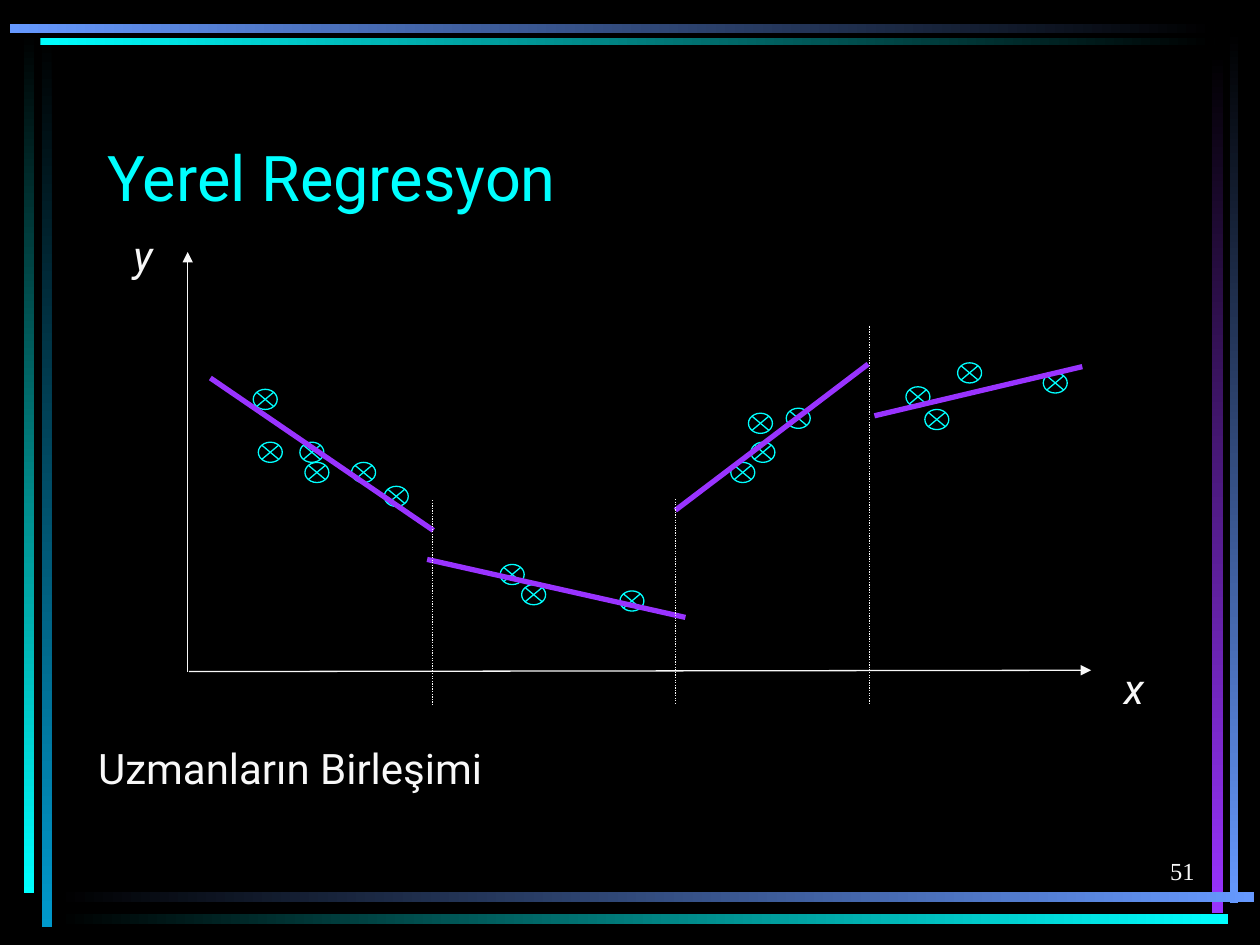
from lxml.etree import SubElement
from pptx import Presentation
from pptx.dml.color import RGBColor
from pptx.enum.dml import MSO_LINE
from pptx.enum.shapes import MSO_CONNECTOR, MSO_SHAPE
from pptx.enum.text import MSO_ANCHOR, MSO_AUTO_SIZE, PP_ALIGN
from pptx.oxml.ns import qn
from pptx.util import Inches, Pt

BLACK = RGBColor(0x00, 0x00, 0x00)
WHITE = RGBColor(0xF8, 0xF8, 0xF8)
CYAN = RGBColor(0x00, 0xFF, 0xFF)
TEAL = RGBColor(0x00, 0x99, 0xCC)
BLUE = RGBColor(0x66, 0x99, 0xFF)
PURPLE = RGBColor(0x99, 0x33, 0xFF)

DOWN, RIGHT = 270, 0
BARS = [
    (0.33, 0.28, 0.08, 7.08, BLACK, TEAL, DOWN),
    (0.19, 0.25, 0.08, 6.84, BLACK, CYAN, DOWN),
    (9.76, 0.24, 0.07, 6.93, BLACK, BLUE, DOWN),
    (9.62, 0.42, 0.09, 6.83, BLACK, PURPLE, DOWN),
    (0.45, 7.08, 9.5, 0.08, BLACK, BLUE, RIGHT),
    (0.45, 7.25, 9.3, 0.08, BLACK, CYAN, RIGHT),
    (0.32, 0.3, 9.32, 0.06, CYAN, BLACK, RIGHT),
    (0.08, 0.19, 9.56, 0.07, BLUE, BLACK, RIGHT),
]
AXES = [(1.5, 5.33, 8.66, 5.32), (1.49, 5.33, 1.49, 2)]
POINTS = [
    (2.05, 3.51), (2.42, 3.67), (2.38, 3.51), (2.79, 3.67), (3.05, 3.86),
    (5.96, 3.51), (3.97, 4.48), (4.92, 4.69), (6.24, 3.24), (7.34, 3.25),
    (5.8, 3.67), (5.94, 3.28), (4.14, 4.64), (7.6, 2.88), (8.28, 2.96),
    (7.19, 3.07), (2.01, 3.09),
]
FITS = [
    (1.67, 3, 3.44, 4.21), (3.39, 4.44, 5.44, 4.9),
    (5.36, 4.05, 6.89, 2.89), (6.94, 3.3, 8.59, 2.91),
]
SPLITS = [(3.43, 3.97, 5.59), (5.36, 3.96, 5.58), (6.9, 2.59, 5.59)]


def apply(target, values):
    for name, value in values.items():
        setattr(target, name, value)


def write(shape, text, font, frame=None, align=PP_ALIGN.LEFT):
    body = shape.text_frame
    apply(body, {"word_wrap": True, "auto_size": MSO_AUTO_SIZE.NONE} | (frame or {}))
    body.text = text
    para = body.paragraphs[0]
    para.alignment = align
    run = para.runs[0]
    values = {"name": "Roboto", "size": Pt(24)} | font
    color = values.pop("color", WHITE)
    apply(run.font, values)
    run.font.color.rgb = color


def add_text(slide, box, text, font, frame, align=PP_ALIGN.LEFT):
    shape = slide.shapes.add_textbox(*map(Inches, box))
    write(shape, text, font, frame, align)


def add_title(slide, text):
    title = slide.shapes.title
    apply(title, {"left": Inches(0.75), "top": Inches(0.67),
                  "width": Inches(8.5), "height": Inches(1.08)})
    write(title, text, {"size": Pt(36), "color": CYAN},
          {"vertical_anchor": MSO_ANCHOR.BOTTOM})


def add_bar(slide, left, top, width, height, start, end, angle):
    box = map(Inches, (left, top, width, height))
    bar = slide.shapes.add_shape(MSO_SHAPE.RECTANGLE, *box)
    bar.shadow.inherit = False
    bar.line.fill.background()
    bar.fill.gradient()
    bar.fill.gradient_angle = angle
    for stop, color in zip(bar.fill.gradient_stops, (start, end)):
        stop.color.rgb = color


def add_point(slide, left, top):
    box = map(Inches, (left, top, 0.19, 0.16))
    point = slide.shapes.add_shape(MSO_SHAPE.FLOWCHART_SUMMING_JUNCTION, *box)
    point.shadow.inherit = False
    point.fill.solid()
    point.fill.fore_color.rgb = BLACK
    point.line.color.rgb = CYAN
    point.line.width = Pt(0.75)


def add_line(slide, ends, color=WHITE, width=0.75, dash=None, arrow=False):
    line = slide.shapes.add_connector(MSO_CONNECTOR.STRAIGHT, *map(Inches, ends))
    line.line.color.rgb = color
    apply(line.line, {"width": Pt(width), "dash_style": dash})
    if arrow:
        SubElement(line.line._get_or_add_ln(), qn("a:tailEnd"), type="triangle")
    SubElement(line._element.spPr, qn("a:effectLst"))


def main():
    deck = Presentation()
    apply(deck, {"slide_width": Inches(10), "slide_height": Inches(7.5)})
    slide = deck.slides.add_slide(deck.slide_layouts[5])
    slide.background.fill.solid()
    slide.background.fill.fore_color.rgb = BLACK

    for bar in BARS:
        add_bar(slide, *bar)
    add_title(slide, "Yerel Regresyon")
    for ends in AXES:
        add_line(slide, ends, arrow=True)
    for point in POINTS:
        add_point(slide, *point)
    for ends in FITS:
        add_line(slide, ends, PURPLE, 3)
    for x, top, base in SPLITS:
        add_line(slide, (x, top, x, base), dash=MSO_LINE.ROUND_DOT)

    tight = {"word_wrap": False, "auto_size": MSO_AUTO_SIZE.SHAPE_TO_FIT_TEXT}
    for box, text in [((8.82, 5.21, 0.36, 0.5), "x"), ((0.96, 1.77, 0.35, 0.5), "y")]:
        add_text(slide, box, text, {"italic": True}, tight, PP_ALIGN.CENTER)
    add_text(slide, (0.68, 5.84, 3.45, 0.5), "Uzmanların Birleşimi", {}, tight)
    add_text(slide, (7.5, 6.58, 2.08, 0.5), "51",
             {"name": "Times New Roman", "size": Pt(14)},
             {"vertical_anchor": MSO_ANCHOR.BOTTOM}, PP_ALIGN.RIGHT)
    deck.save("out.pptx")


if __name__ == "__main__":
    main()
